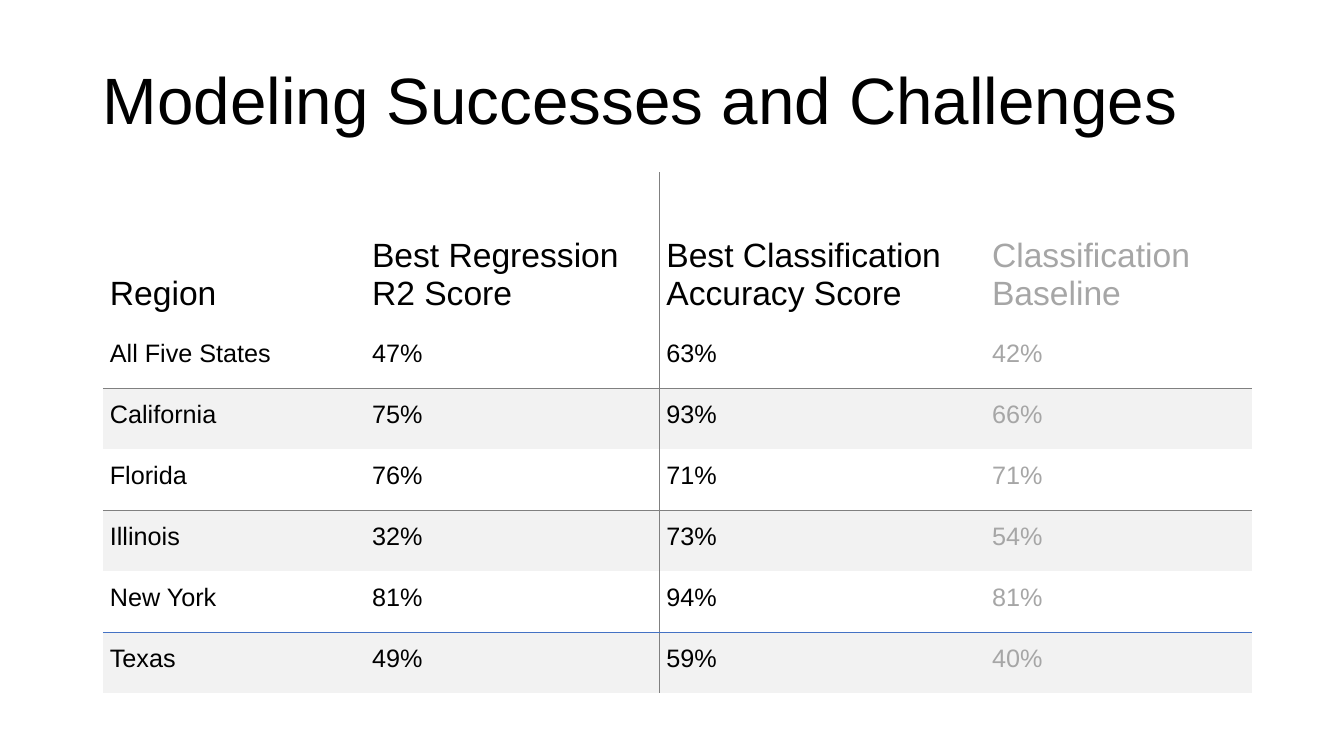
from lxml.etree import SubElement
from pptx import Presentation
from pptx.dml.color import RGBColor
from pptx.enum.text import MSO_ANCHOR
from pptx.oxml.ns import qn
from pptx.util import Inches, Pt

FONT = "Arial"
BLACK, MUTED, RULE, ACCENT, BAND = "000000", "A6A6A6", "808080", "4472C4", "F2F2F2"
COLUMN_WIDTHS = (2.6, 2.92, 3.23, 2.65)
HEADER_HEIGHT = 1.54
DIVIDER_COLUMN = 2
BASELINE_COLUMN = 3
SCORES = [
    ("Region", "Best Regression\nR2 Score", "Best Classification Accuracy Score",
     "Classification Baseline"),
    ("All Five States", "47%", "63%", "42%"),
    ("California", "75%", "93%", "66%"),
    ("Florida", "76%", "71%", "71%"),
    ("Illinois", "32%", "73%", "54%"),
    ("New York", "81%", "94%", "81%"),
    ("Texas", "49%", "59%", "40%"),
]
ROW_RULES = {2: RULE, 4: RULE, 6: ACCENT}


def rgb(color):
    """Turn a hex string into a colour."""
    return RGBColor.from_string(color)


def write(frame, text, size, color):
    """Write each line of text as a paragraph holding one run."""
    for index, line in enumerate(text.split("\n")):
        paragraph = frame.add_paragraph() if index else frame.paragraphs[0]
        run = paragraph.add_run()
        run.text = line
        run.font.name = FONT
        run.font.size = Pt(size)
        run.font.color.rgb = rgb(color)


def set_borders(cell, colors):
    """Draw the sides that have a colour and clear the others."""
    properties = cell._tc.get_or_add_tcPr()
    for side in "LRTB":
        color = colors.get(side)
        line = SubElement(properties, qn(f"a:ln{side}"), w=str(Pt(1)))
        if color:
            fill = SubElement(line, qn("a:solidFill"))
            SubElement(fill, qn("a:srgbClr"), val=color)
        else:
            SubElement(line, qn("a:noFill"))


def style_cell(cell, row, column):
    """Set the margins, rules and band of a cell from its place."""
    cell.margin_left = cell.margin_right = cell.margin_top = Inches(0.07)
    cell.margin_bottom = Inches(0.15)
    cell.vertical_anchor = MSO_ANCHOR.MIDDLE if row else MSO_ANCHOR.BOTTOM
    set_borders(cell, {
        "L": RULE if column == DIVIDER_COLUMN else None,
        "R": RULE if column == DIVIDER_COLUMN - 1 else None,
        "T": ROW_RULES.get(row),
        "B": ROW_RULES.get(row + 1),
    })
    if row in ROW_RULES:
        cell.fill.solid()
        cell.fill.fore_color.rgb = rgb(BAND)
    else:
        cell.fill.background()


def add_title(slide, left, top, width, height):
    """Place the slide title in its box."""
    frame = slide.shapes.add_textbox(*map(Inches, (left, top, width, height))).text_frame
    frame.word_wrap = True
    frame.vertical_anchor = MSO_ANCHOR.MIDDLE
    write(frame, "Modeling Successes and Challenges", 46.8, BLACK)
    frame.paragraphs[0].line_spacing = 0.9


def add_scores(slide, left, top, width, height):
    """Place the score table, sharing the box among its columns and rows."""
    box = map(Inches, (left, top, width, height))
    table = slide.shapes.add_table(len(SCORES), len(COLUMN_WIDTHS), *box).table
    table.first_row = table.horz_banding = False
    for column, share in zip(table.columns, COLUMN_WIDTHS):
        column.width = Inches(width * share / sum(COLUMN_WIDTHS))
    body_height = (height - HEADER_HEIGHT) / (len(SCORES) - 1)
    for row, texts in enumerate(SCORES):
        table.rows[row].height = Inches(body_height if row else HEADER_HEIGHT)
        for column, text in enumerate(texts):
            cell = table.cell(row, column)
            style_cell(cell, row, column)
            color = MUTED if column == BASELINE_COLUMN else BLACK
            write(cell.text_frame, text, 18 if row else 24, color)


def main():
    """Build and save the slide."""
    presentation = Presentation()
    presentation.slide_width = Inches(13.33)
    presentation.slide_height = Inches(7.5)
    slide = presentation.slides.add_slide(presentation.slide_layouts[6])
    add_title(slide, 0.92, 0.2, 11.5, 1.65)
    add_scores(slide, 1.02, 1.71, 11.4, 5.17)
    presentation.save("out.pptx")


if __name__ == "__main__":
    main()
